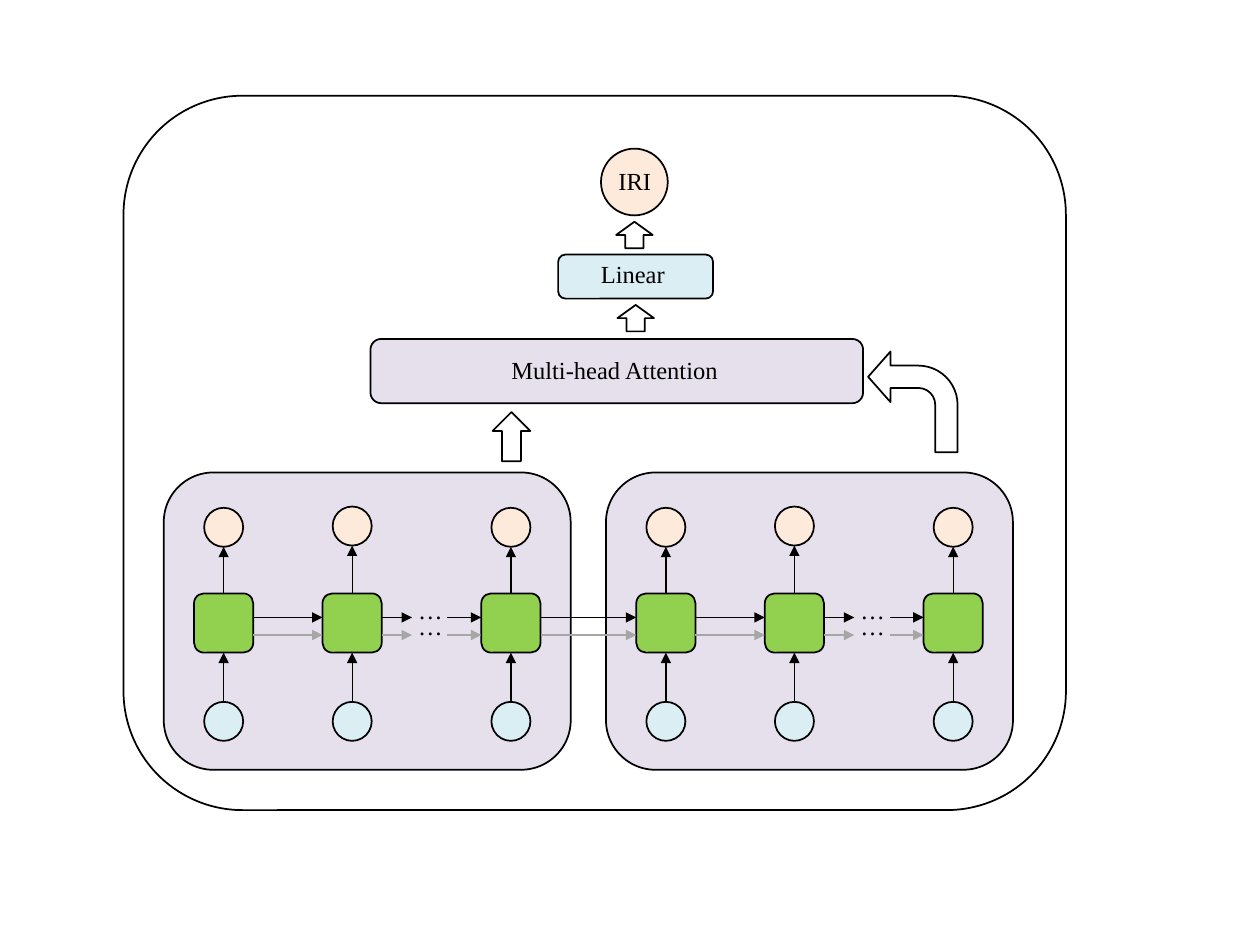
from pptx import Presentation
from pptx.dml.color import RGBColor
from pptx.enum.shapes import MSO_CONNECTOR as Connector, MSO_SHAPE as Shape
from pptx.enum.text import MSO_AUTO_SIZE as AutoSize
from pptx.oxml.ns import qn
from pptx.util import Inches, Pt
from lxml.etree import SubElement

THEME = {
    "font": "Times New Roman", "size": 14, "outline": 1, "wire": 0.75,
    "ink": "000000", "muted": "A6A6A6", "panel": "E6E0EC",
    "cell": "92D050", "input": "DBEEF4", "output": "FDEADA",
}

FRAME = (0.98, 0.76, 7.48, 5.67)
ATTENTION = (2.94, 2.69, 3.91, 0.51)
LINEAR = (4.43, 2.02, 1.23, 0.35)
RESULT = (4.77, 1.18, 0.53, 0.53)
UP_ARROWS = [(3.91, 3.27, 0.3, 0.39), (4.9, 2.42, 0.29, 0.21), (4.89, 1.76, 0.29, 0.21)]
BENT_ARROW = (6.89, 2.79, 0.71, 0.8)
BENT_ADJUSTMENTS = (0.25, 0.283, 0.25, 0.438)
LABELS = [
    ("Multi-head Attention", (3.96, 2.77, 1.87, 0.34)),
    ("Linear", (4.67, 2.01, 0.71, 0.34)),
    ("IRI", (4.81, 1.27, 0.46, 0.34)),
]

PANEL_LEFTS = (1.3, 4.81)
PANEL_TOP, PANEL_WIDTH, PANEL_HEIGHT = 3.75, 3.23, 2.36
CELL_SIZE, NODE_SIZE = 0.47, 0.31
CELL_TOP, INPUT_TOP = 4.71, 5.57
COLUMNS = [(0.24, 4.03), (1.26, 4.02), (2.52, 4.03)]
RAILS = [(4.9, 4.67, "ink"), (5.04, 4.8, "muted")]
RAIL_SPANS = [(0.71, 1.26), (1.73, 1.97), (2.25, 2.52)]
BRIDGE = (4.29, 5.05)
DOTS_OFFSET = 1.92


def color(name):
    return RGBColor.from_string(THEME[name])


def add_block(slide, kind, bounds, fill=None):
    block = slide.shapes.add_shape(kind, *map(Inches, bounds))
    block.shadow.inherit = False
    if fill:
        block.fill.solid()
        block.fill.fore_color.rgb = color(fill)
    else:
        block.fill.background()
    block.line.color.rgb = color("ink")
    block.line.width = Pt(THEME["outline"])
    return block


def add_label(slide, text, bounds):
    box = slide.shapes.add_textbox(*map(Inches, bounds))
    frame = box.text_frame
    frame.word_wrap = False
    frame.auto_size = AutoSize.SHAPE_TO_FIT_TEXT
    para = frame.paragraphs[0]
    para.text = text
    para.font.name = THEME["font"]
    para.font.size = Pt(THEME["size"])
    para.font.color.rgb = color("ink")


def add_wire(slide, start, end, ink="ink"):
    wire = slide.shapes.add_connector(Connector.STRAIGHT, *map(Inches, start + end))
    wire.line.color.rgb = color(ink)
    wire.line.width = Pt(THEME["wire"])
    SubElement(wire.line._get_or_add_ln(), qn("a:tailEnd"), type="triangle")
    SubElement(wire._element.spPr, qn("a:effectLst"))
    return wire


def add_column(slide, left, output_top):
    center = left + CELL_SIZE / 2
    node_left = center - NODE_SIZE / 2
    output_bottom = output_top + NODE_SIZE
    cell = add_block(slide, Shape.ROUNDED_RECTANGLE,
                     (left, CELL_TOP, CELL_SIZE, CELL_SIZE), "cell")
    source = add_block(slide, Shape.OVAL,
                       (node_left, INPUT_TOP, NODE_SIZE, NODE_SIZE), "input")
    add_block(slide, Shape.OVAL, (node_left, output_top, NODE_SIZE, NODE_SIZE), "output")
    feed = add_wire(slide, (center, INPUT_TOP), (center, CELL_TOP + CELL_SIZE))
    feed.begin_connect(source, 0)
    feed.end_connect(cell, 2)
    emit = add_wire(slide, (center, CELL_TOP), (center, output_bottom))
    emit.begin_connect(cell, 0)


def add_sequence(slide, panel_left):
    for offset, output_top in COLUMNS:
        add_column(slide, panel_left + offset, output_top)
    for rail, dots_top, ink in RAILS:
        for start, end in RAIL_SPANS:
            add_wire(slide, (panel_left + start, rail), (panel_left + end, rail), ink)
        add_label(slide, "…", (panel_left + DOTS_OFFSET, dots_top, 0.4, 0.34))


def main():
    deck = Presentation()
    deck.slide_width, deck.slide_height = Inches(10), Inches(7.5)
    slide = deck.slides.add_slide(deck.slide_layouts[6])

    add_block(slide, Shape.ROUNDED_RECTANGLE, FRAME)
    for left in PANEL_LEFTS:
        add_block(slide, Shape.ROUNDED_RECTANGLE,
                  (left, PANEL_TOP, PANEL_WIDTH, PANEL_HEIGHT), "panel")
    for left in PANEL_LEFTS:
        add_sequence(slide, left)
    for rail, _, ink in RAILS:
        add_wire(slide, (BRIDGE[0], rail), (BRIDGE[1], rail), ink)

    add_block(slide, Shape.ROUNDED_RECTANGLE, ATTENTION, "panel")
    add_block(slide, Shape.ROUNDED_RECTANGLE, LINEAR, "input")
    add_block(slide, Shape.OVAL, RESULT, "output")
    for bounds in UP_ARROWS:
        add_block(slide, Shape.UP_ARROW, bounds)
    bent = add_block(slide, Shape.BENT_ARROW, BENT_ARROW)
    bent._element.spPr.xfrm.set("flipH", "1")
    for index, value in enumerate(BENT_ADJUSTMENTS):
        bent.adjustments[index] = value
    for text, bounds in LABELS:
        add_label(slide, text, bounds)

    deck.save("out.pptx")


if __name__ == "__main__":
    main()
